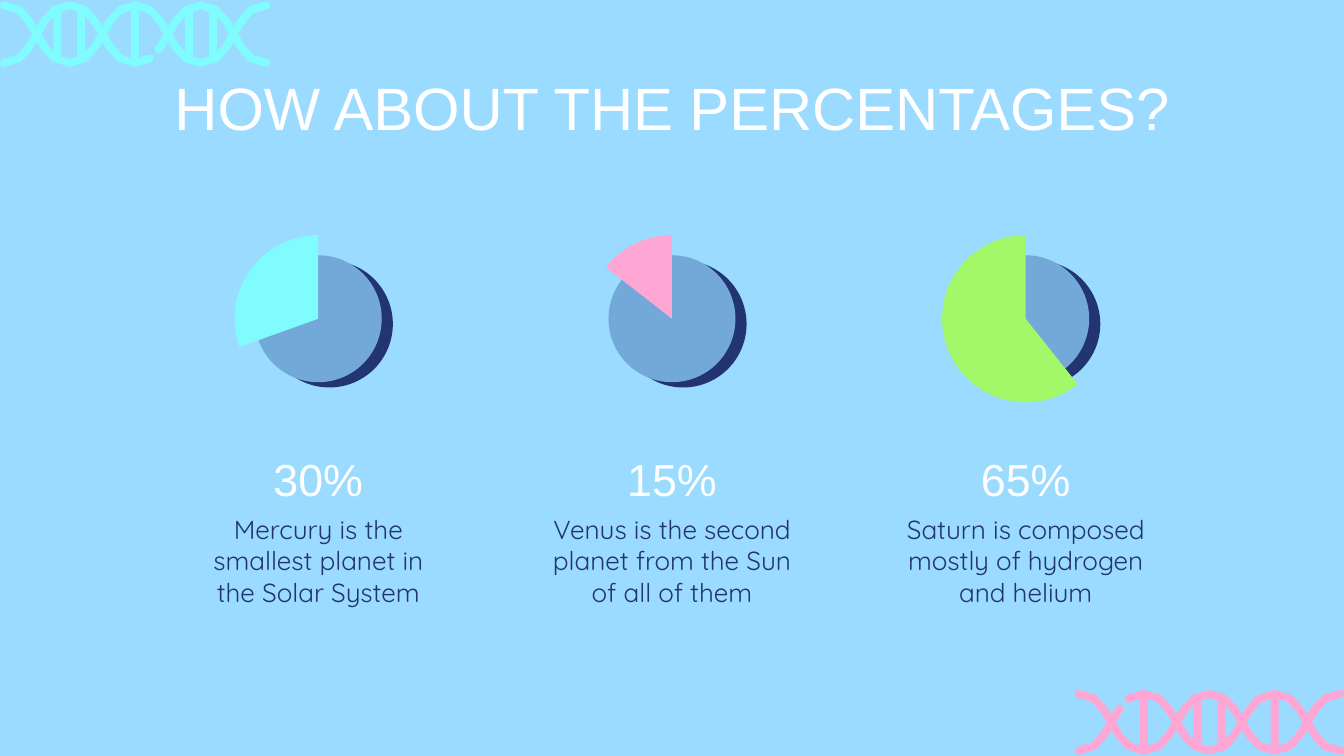
import math

import pptx
import pptx.dml.color
import pptx.enum.shapes
import pptx.enum.text
import pptx.util

Cm = pptx.util.Cm
RGBColor = pptx.dml.color.RGBColor
SHAPE = pptx.enum.shapes.MSO_SHAPE
ANCHOR = pptx.enum.text.MSO_ANCHOR

SKY = RGBColor(0x9B, 0xDB, 0xFF)
CYAN = RGBColor(0x80, 0xFC, 0xFF)
PINK = RGBColor(0xFF, 0xA7, 0xD4)
LIME = RGBColor(0xA2, 0xF8, 0x69)
NAVY = RGBColor(0x22, 0x35, 0x72)
STEEL = RGBColor(0x72, 0xA9, 0xD8)
WHITE = RGBColor(0xFF, 0xFF, 0xFF)

HEADING_FONT = "Arial"
BODY_FONT = "Quicksand"
STRAND = 0.3  # thickness of a DNA strand, cm
# First half of a half wave, in shares of its width and depth
QUARTER = [(0, 0), (0.23, 0.08), (0.38, 0.27)]


def wave(half_wave, depth, starts_low):
    """Centre line of a strand of four half waves."""
    half = QUARTER + [(0.5, 0.5)] + [(1 - x, 1 - y) for x, y in QUARTER[:0:-1]]
    points = []
    for index in range(4):
        flipped = (index % 2 == 1) != starts_low
        points += [((index + x) * half_wave, (1 - y if flipped else y) * depth)
                   for x, y in half]
    return points + [(4 * half_wave, depth if starts_low else 0)]


def split(line, gap):
    """The parts of a line before and after a gap."""
    ends = []
    for x in gap:
        (x1, y1), (x2, y2) = next(pair for pair in zip(line, line[1:])
                                  if pair[1][0] > x)
        ends.append((x, y1 + (y2 - y1) * (x - x1) / (x2 - x1)))
    return ([point for point in line if point[0] < gap[0]] + ends[:1],
            ends[1:] + [point for point in line if point[0] > gap[1]])


def stroke_outline(line):
    """Outline of a thick line with round ends."""
    sides = []
    for index, point in enumerate(line):
        before, after = line[max(index - 1, 0)], line[min(index + 1, len(line) - 1)]
        sides.append((point, math.atan2(after[1] - before[1], after[0] - before[0])))

    def around(side, turn):
        (x, y), angle = side
        return (x + STRAND / 2 * math.cos(angle + turn),
                y + STRAND / 2 * math.sin(angle + turn))

    quarter = math.pi / 2
    turns = [-quarter / 2, 0, quarter / 2]
    return ([around(side, -quarter) for side in sides]
            + [around(sides[-1], turn) for turn in turns]
            + [around(side, quarter) for side in sides[::-1]]
            + [around(sides[0], math.pi + turn) for turn in turns])


class SlideBuilder:
    def __init__(self, page):
        self.page = page
        page.background.fill.solid()
        page.background.fill.fore_color.rgb = SKY

    def paint(self, shape, color):
        shape.shadow.inherit = False
        shape.fill.solid()
        shape.fill.fore_color.rgb = color
        shape.line.fill.background()
        return shape

    def round_shape(self, kind, center_x, center_y, size, color):
        shape = self.page.shapes.add_shape(
            kind, Cm(center_x - size / 2), Cm(center_y - size / 2), Cm(size), Cm(size))
        return self.paint(shape, color)

    def text(self, left, top, width, height, words, size, color,
             font=HEADING_FONT, anchor=ANCHOR.MIDDLE, spacing=1.0):
        box = self.page.shapes.add_textbox(Cm(left), Cm(top), Cm(width), Cm(height))
        frame = box.text_frame
        frame.word_wrap = True
        frame.vertical_anchor = anchor
        frame.margin_left = frame.margin_right = Cm(0.51)
        frame.margin_top = frame.margin_bottom = Cm(0.51)
        para = frame.paragraphs[0]
        para.alignment = pptx.enum.text.PP_ALIGN.CENTER
        para.line_spacing = spacing
        span = para.add_run()
        span.text = words
        span.font.size = pptx.util.Pt(size)
        span.font.name = font
        span.font.color.rgb = color

    def helix(self, left, top, half_wave, depth, gap, rungs, color):
        """Two strands, the second broken at gap; rungs are (offset, inset)."""
        group = self.page.shapes.add_group_shape()
        whole = wave(half_wave, depth, False)
        for line in (whole, *split(wave(half_wave, depth, True), gap)):
            corners = [(Cm(left + x), Cm(top + y)) for x, y in stroke_outline(line)]
            builder = group.shapes.build_freeform(*corners[0])
            builder.add_line_segments(corners[1:], close=True)
            self.paint(builder.convert_to_shape(), color)
        for offset, inset in rungs:
            rung = group.shapes.add_shape(
                SHAPE.ROUNDED_RECTANGLE,
                Cm(left + offset - STRAND / 2), Cm(top - STRAND / 2 + inset),
                Cm(STRAND), Cm(depth + STRAND - 2 * inset))
            rung.adjustments[0] = 0.5
            self.paint(rung, color)

    def pie(self, center_x, center_y, start_angle, color):
        disc = 4.8
        self.round_shape(SHAPE.OVAL, center_x + 0.42, center_y + 0.2, disc, NAVY)
        self.round_shape(SHAPE.OVAL, center_x, center_y, disc, STEEL)
        wedge = self.round_shape(SHAPE.PIE, center_x, center_y, 6.32, color)
        # Adjustments count 60000ths of a degree in units of 100000
        wedge.adjustments[0] = start_angle * 0.6
        wedge.adjustments[1] = 270 * 0.6


def main():
    deck = pptx.Presentation()
    deck.slide_width, deck.slide_height = Cm(50.8), Cm(28.58)
    slide = SlideBuilder(deck.slides.add_slide(deck.slide_layouts[6]))

    # DNA in two corners
    slide.helix(0.15, 0.2, 2.48, 2.18, (5.51, 5.84),
                [(2.02, 0.13), (2.92, 0.13), (4.96, 0), (6.99, 0.13), (7.9, 0.13)], CYAN)
    slide.helix(40.77, 26.23, 2.47, 2.15, (1.55, 1.88),
                [(2.47, 0), (4.5, 0.13), (5.4, 0.13), (7.41, 0)], PINK)

    # Title
    slide.text(4.04, 3.02, 42.72, 2.54, "HOW ABOUT THE PERCENTAGES?", 64, WHITE,
               spacing=0.8)

    # Three columns: pie, percentage, description
    columns = [
        ("30%", 160.25, CYAN, "Mercury is the smallest planet in the Solar System"),
        ("15%", 217.94, PINK, "Venus is the second planet from the Sun of all of them"),
        ("65%", 51.57, LIME, "Saturn is composed mostly of hydrogen and helium"),
    ]
    width = 10.16
    for index, (share, start_angle, color, description) in enumerate(columns):
        center = 25.4 + (index - 1) * 13.37
        slide.pie(center, 12.05, start_angle, color)
        slide.text(center - width / 2, 17.07, width, 2.03, share, 48, WHITE)
        slide.text(center - width / 2, 18.9, width, 5.08, description, 28, NAVY,
                   BODY_FONT, ANCHOR.TOP)

    deck.save("out.pptx")


if __name__ == "__main__":
    main()
